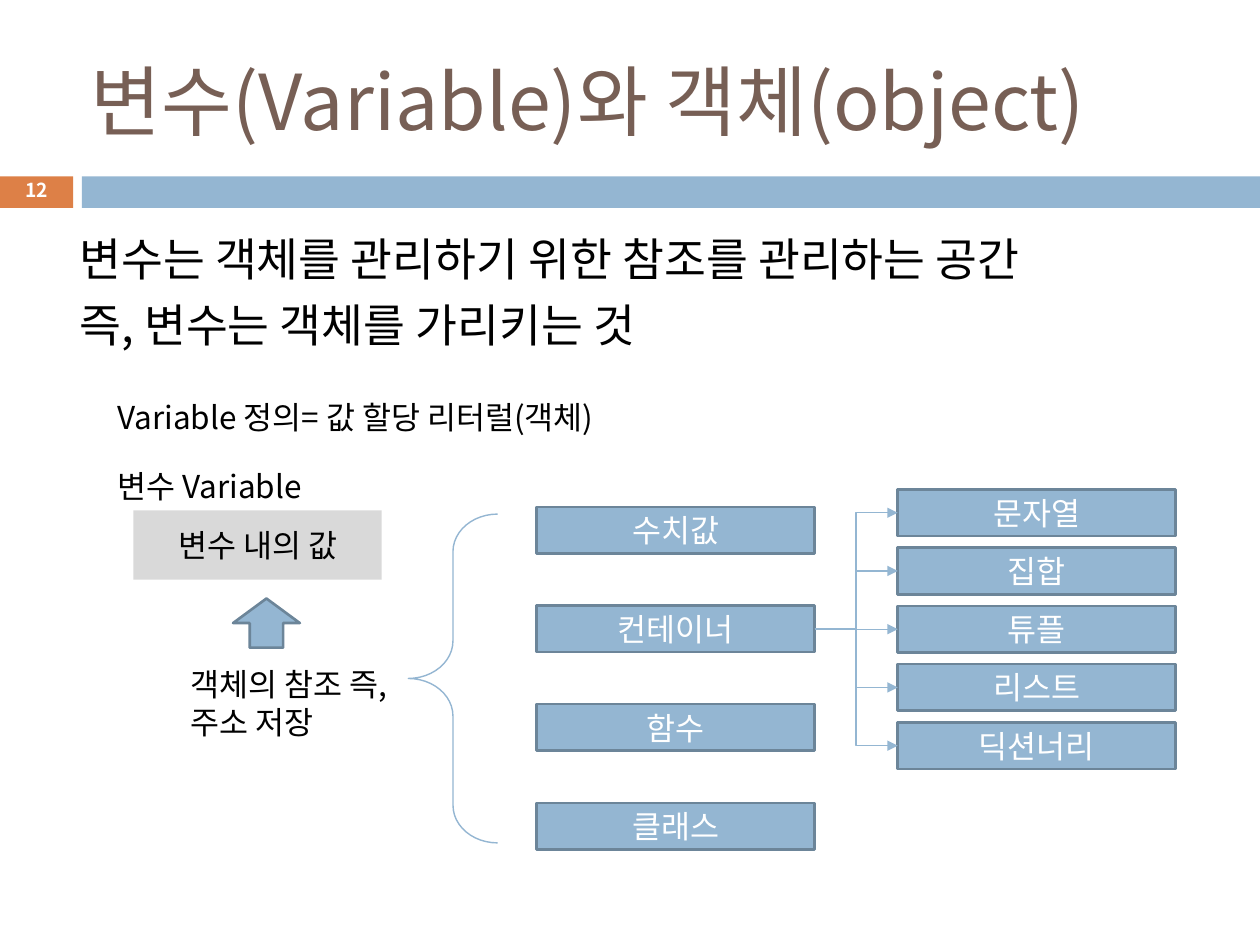
from dataclasses import dataclass

from lxml import etree
from pptx import Presentation
from pptx.dml.color import RGBColor
from pptx.enum.shapes import MSO_CONNECTOR, MSO_SHAPE
from pptx.enum.text import MSO_ANCHOR, MSO_AUTO_SIZE, PP_ALIGN
from pptx.oxml.ns import qn
from pptx.util import Inches, Pt

RECT, BRACE, ARROW = MSO_SHAPE.RECTANGLE, MSO_SHAPE.LEFT_BRACE, MSO_SHAPE.UP_ARROW
ELBOW = MSO_CONNECTOR.ELBOW
TOP, MID = MSO_ANCHOR.TOP, MSO_ANCHOR.MIDDLE
LEFT, CENTER = PP_ALIGN.LEFT, PP_ALIGN.CENTER
FIXED = MSO_AUTO_SIZE.NONE
SITE_LEFT, SITE_RIGHT = 1, 3
COLS, ROWS = 100, 75


@dataclass
class Theme:
    font: str = "Noto Sans CJK KR"
    blue: str = "94B6D2"
    edge: str = "6C8599"
    orange: str = "DD8047"
    brown: str = "775F55"
    gray: str = "D9D9D9"
    black: str = "000000"
    white: str = "FFFFFF"
    head: int = 44
    lead: int = 26
    text: int = 18
    tag: int = 11
    thick: float = 1.5
    thin: float = 0.79


class Deck:
    """Draws styled elements on the current slide, placed by grid columns and rows."""

    def __init__(self, theme):
        self.theme = theme
        self.prs = Presentation()
        self.set(self.prs, slide_width=Inches(10), slide_height=Inches(7.5))
        self.col = self.prs.slide_width / COLS
        self.row = self.prs.slide_height / ROWS
        self.slide = self.prs.slides.add_slide(self.prs.slide_layouts[1])

    def set(self, item, **vals):
        for key, val in vals.items():
            setattr(item, key, val)

    def box(self, x, y, w, h):
        sizes = x * self.col, y * self.row, w * self.col, h * self.row
        return [round(size) for size in sizes]

    def letter(self, shape, lines, size, color, align=LEFT, anchor=TOP,
               wrap=True, bold=False, **para):
        frame, pad = shape.text_frame, Inches(0.05)
        self.set(frame, text="\n".join(lines), word_wrap=wrap, auto_size=FIXED,
                 vertical_anchor=anchor, margin_left=pad, margin_right=pad,
                 margin_top=pad, margin_bottom=pad)
        for line in frame.paragraphs:
            self.set(line, alignment=align, **para)
            for run in line.runs:
                self.set(run.font, size=Pt(size), bold=bold, name=self.theme.font)
                run.font.color.rgb = RGBColor.from_string(color)
                props = run._r.get_or_add_rPr()
                etree.SubElement(props, qn("a:ea"), typeface=self.theme.font)

    def holder(self, index, at, lines, size, color, **form):
        shape = self.slide.placeholders[index]
        self.set(shape, **dict(zip(("left", "top", "width", "height"), self.box(*at))))
        self.letter(shape, lines, size, color, **form)
        return shape

    def title(self, at, text):
        self.holder(0, at, [text], self.theme.head, self.theme.brown, anchor=MID)

    def body(self, at, lines):
        shape = self.holder(1, at, lines, self.theme.lead, self.theme.black,
                            space_before=Pt(7))
        for line in shape.text_frame.paragraphs:
            props = line._p.get_or_add_pPr()
            for key, val in {"marL": Inches(0.08), "indent": 0}.items():
                props.set(key, str(int(val)))
            etree.SubElement(props, qn("a:buNone"))

    def label(self, at, text, **form):
        style = {"size": self.theme.text, "color": self.theme.black, **form}
        self.letter(self.slide.shapes.add_textbox(*self.box(*at)), [text], **style)

    def stroke(self, line, color, width):
        line.color.rgb = RGBColor.from_string(color)
        line.width = Pt(width)

    def shape(self, kind, at, fill=None, edge=None, width=None):
        shape = self.slide.shapes.add_shape(kind, *self.box(*at))
        shape.shadow.inherit = False
        if fill:
            shape.fill.solid()
            shape.fill.fore_color.rgb = RGBColor.from_string(fill)
        else:
            shape.fill.background()
        if edge:
            self.stroke(shape.line, edge, width)
        else:
            shape.line.fill.background()
        return shape

    def block(self, at, text, fill, color, edge=None):
        shape = self.shape(RECT, at, fill, edge, self.theme.thick)
        self.letter(shape, [text], self.theme.text, color, align=CENTER, anchor=MID)
        return shape

    def stack(self, x, y, step, names):
        theme = self.theme
        return [self.block((x, y + i * step, 22.05, 3.7), name,
                           theme.blue, theme.white, theme.edge)
                for i, name in enumerate(names)]

    def link(self, start, end):
        line = self.slide.shapes.add_connector(ELBOW, 0, 0, 0, 0)
        line.begin_connect(start, SITE_RIGHT)
        line.end_connect(end, SITE_LEFT)
        self.stroke(line.line, self.theme.blue, self.theme.thin)
        props = line._element.spPr
        etree.SubElement(props.find(qn("a:ln")), qn("a:tailEnd"), type="triangle")
        etree.SubElement(props, qn("a:effectLst"))


def main():
    theme = Theme()
    deck = Deck(theme)
    deck.shape(RECT, (0, 14, 5.8, 2.5), theme.orange)
    deck.shape(RECT, (6.5, 14, 93.5, 2.5), theme.blue)
    deck.title((6.7, 2.5, 89.2, 10.8), "변수(Variable)와 객체(object)")
    deck.body((5, 17.8, 90, 13), ["변수는 객체를 관리하기 위한 참조를 관리하는 공간",
                                  "즉, 변수는 객체를 가리키는 것"])

    deck.label((8.8, 31.1, 49.4, 4), "Variable 정의= 값 할당 리터럴(객체)")
    deck.label((8.8, 36.6, 18.2, 4), "변수 Variable")
    deck.block((10.6, 40.5, 19.7, 5.5), "변수 내의 값", theme.gray, theme.black)
    deck.shape(ARROW, (18.5, 47.5, 5.3, 3.9), theme.blue, theme.edge, theme.thick)
    deck.label((14.6, 52.3, 18.6, 7.1), "객체의 참조 즉, 주소 저장")

    brace = deck.shape(BRACE, (32.4, 40.8, 7.1, 26.1), edge=theme.blue, width=theme.thin)
    brace.adjustments[0] = 0.42
    kinds = deck.stack(42.6, 40.23, 7.83, ["수치값", "컨테이너", "함수", "클래스"])
    types = deck.stack(71.25, 38.85, 4.62, ["문자열", "집합", "튜플", "리스트", "딕션너리"])
    for item in types:
        deck.link(kinds[1], item)

    deck.label((1.5, 13.7, 2.8, 3), "12", size=theme.tag, color=theme.white, bold=True,
               align=CENTER, anchor=MID, wrap=False, line_spacing=0.8)
    deck.prs.save("out.pptx")


if __name__ == "__main__":
    main()
